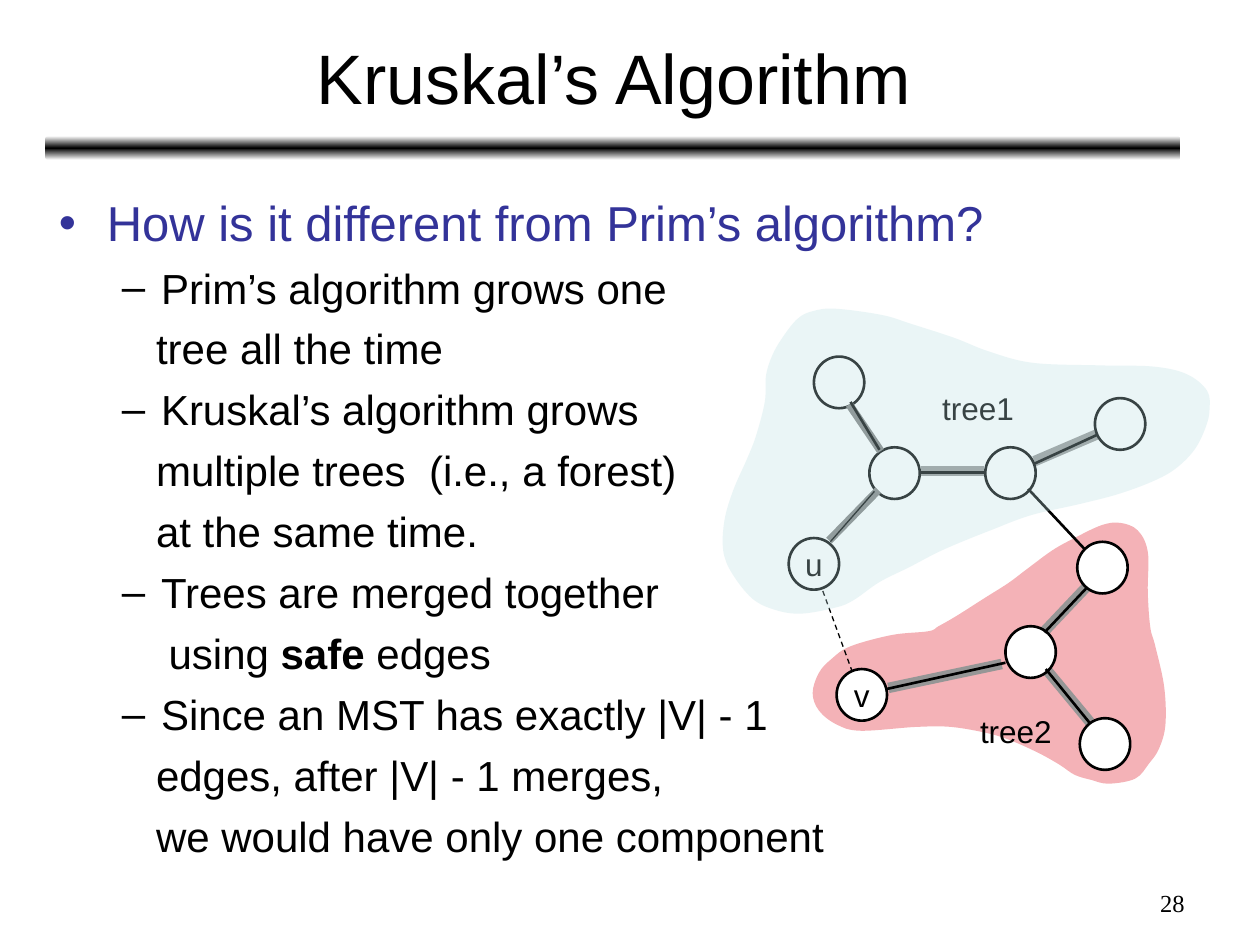
"""Build the slide comparing Kruskal's algorithm with Prim's."""
import copy
from dataclasses import dataclass

import pptx
import pptx.dml.color
import pptx.enum.dml
import pptx.enum.shapes
import pptx.enum.text
import pptx.oxml.ns
import pptx.util
from lxml import etree

Inches = pptx.util.Inches
Pt = pptx.util.Pt
qn = pptx.oxml.ns.qn
Shape = pptx.enum.shapes.MSO_SHAPE
Align = pptx.enum.text.PP_ALIGN
Anchor = pptx.enum.text.MSO_ANCHOR
NODE_W, NODE_H = 0.4, 0.41
BLACK, WHITE, BLUE = "000000", "FFFFFF", "333399"


@dataclass
class Edge:
    x1: float
    y1: float
    x2: float
    y2: float
    width: float = 1.5
    color: str = BLACK
    dashed: bool = False


@dataclass
class Node:
    x: float
    y: float
    name: str = ""


@dataclass
class Line:
    text: str
    left: float = 0.77
    bullet: str = ""
    hang: float = 0
    size: float = 24
    color: str = BLACK
    before: float = 6


@dataclass
class Region:
    color: str
    outline: list[tuple[float, float]]


def item(text: str) -> Line:
    return Line(text, left=0.81, bullet="–", hang=0.31)


BODY = [
    Line("How is it different from Prim’s algorithm?", 0.38, "•", 0.38, 28, BLUE, 7),
    item("Prim’s algorithm grows one"),
    Line("tree all the time"),
    item("Kruskal’s algorithm grows"),
    Line("multiple trees  (i.e., a forest)"),
    Line("at the same time."),
    item("Trees are merged together"),
    Line("using *safe* edges", left=0.87),
    item("Since an MST has exactly |V| - 1"),
    Line("edges, after |V| - 1 merges,"),
    Line("we would have only one component"),
]
TREE1 = Region("BBE0E3", [
    (6.33, 2.53), (6.21, 2.68), (6.13, 2.82), (6.08, 2.98), (6.07, 3.19), (6, 3.46),
    (5.93, 3.64), (5.82, 3.89), (5.75, 4.13), (5.74, 4.37), (5.81, 4.55), (5.97, 4.75),
    (6.15, 4.84), (6.36, 4.87), (6.64, 4.82), (6.78, 4.76), (6.98, 4.62), (7.22, 4.5),
    (7.43, 4.39), (7.61, 4.31), (7.86, 4.21), (8.18, 4.09), (8.57, 4), (8.88, 3.92),
    (9.15, 3.82), (9.33, 3.72), (9.48, 3.57), (9.57, 3.39), (9.6, 3.25), (9.58, 3.1),
    (9.42, 2.97), (9.16, 2.91), (8.74, 2.9), (8.2, 2.88), (7.85, 2.79), (7.57, 2.68),
    (7.23, 2.57), (7, 2.5), (6.63, 2.45), (6.45, 2.47)])
TREE2 = Region("DD0111", [
    (7.37, 5.01), (7.08, 5.04), (6.75, 5.13), (6.6, 5.23), (6.5, 5.34), (6.45, 5.5),
    (6.5, 5.64), (6.64, 5.75), (6.83, 5.8), (7.27, 5.77), (7.55, 5.77), (7.84, 5.82),
    (8.03, 5.88), (8.25, 5.98), (8.41, 6.07), (8.53, 6.15), (8.66, 6.19), (8.8, 6.22),
    (9.01, 6.18), (9.12, 6.06), (9.2, 5.94), (9.25, 5.75), (9.24, 5.45), (9.17, 5.13),
    (9.13, 4.98), (9.11, 4.7), (9.11, 4.38), (9.03, 4.21), (8.89, 4.15), (8.74, 4.17),
    (8.51, 4.28), (8.35, 4.37), (8.16, 4.51), (8, 4.63), (7.81, 4.75), (7.59, 4.89),
    (7.45, 4.97)])
HIGHLIGHTS = [Edge(*ends, 6, "969696") for ends in [
    (7.31, 3.74, 7.81, 3.74), (8.21, 3.66, 8.7, 3.45), (7.05, 5.46, 7.95, 5.27),
    (8.29, 5.01, 8.64, 4.64), (8.31, 5.32, 8.65, 5.73)]]
NODES = [
    Node(6.26, 4.27, "u"), Node(6.9, 3.55), Node(7.82, 3.55), Node(8.69, 3.16),
    Node(8.55, 4.3), Node(6.46, 2.83), Node(7.98, 4.97), Node(8.57, 5.7),
    Node(6.64, 5.31, "v")]
EDGES = [
    Edge(6.58, 4.29, 6.97, 3.89, 4.5, "808080"),
    Edge(6.74, 3.21, 6.99, 3.58, 4.5, "808080"),
    Edge(7.3, 3.75, 7.82, 3.75), Edge(8.21, 3.68, 8.71, 3.45),
    Edge(8.16, 3.88, 8.61, 4.36), Edge(7.03, 5.47, 7.98, 5.26),
    Edge(8.29, 5.02, 8.63, 4.66), Edge(8.3, 5.31, 8.65, 5.74),
    Edge(6.59, 4.3, 6.94, 3.9, 0.75), Edge(6.75, 3.19, 6.98, 3.57),
    Edge(6.53, 4.69, 6.76, 5.32, 0.75, dashed=True)]


def rgb(value: str) -> pptx.dml.color.RGBColor:
    return pptx.dml.color.RGBColor.from_string(value)


def write(p, text: str, *, size: float = 18, font: str = "Arial", color: str = BLACK,
          align=Align.LEFT) -> None:
    p.alignment = align
    for i, part in enumerate(text.split("*")):
        r = p.add_run()
        r.text = part
        r.font.name, r.font.size = font, Pt(size)
        r.font.bold = i % 2 == 1
        r.font.color.rgb = rgb(color)


def add_box(s, x: float, y: float, w: float, h: float, *, wrap: bool = True,
            anchor=Anchor.TOP):
    tf = s.shapes.add_textbox(Inches(x), Inches(y), Inches(w), Inches(h)).text_frame
    tf.word_wrap, tf.vertical_anchor = wrap, anchor
    return tf


def add_rule(s) -> None:
    sp = s.shapes.add_shape(Shape.ROUNDED_RECTANGLE, Inches(0.36), Inches(1.08),
                            Inches(9.01), Inches(0.19))
    sp.shadow.inherit = False
    sp.line.fill.background()
    sp.fill.gradient()
    sp.fill.gradient_angle = 90
    stops = sp._element.spPr.find(".//" + qn("a:gsLst"))
    stops.insert(1, copy.deepcopy(stops[0]))
    for stop, position, color in zip(sp.fill.gradient_stops, (0, 0.5, 1), (WHITE, BLACK, WHITE)):
        stop.position, stop.color.rgb = position, rgb(color)


def add_body(s) -> None:
    tf = add_box(s, 0.37, 1.48, 9, 5.55)
    for i, line in enumerate(BODY):
        p = tf.add_paragraph() if i else tf.paragraphs[0]
        p.space_before = Pt(line.before)
        write(p, line.text, size=line.size, color=line.color)
        pPr = p._p.get_or_add_pPr()
        pPr.set("marL", str(Inches(line.left)))
        pPr.set("indent", str(-Inches(line.hang)))
        if line.bullet:
            etree.SubElement(pPr, qn("a:buFont")).set("typeface", "Arial")
            etree.SubElement(pPr, qn("a:buChar")).set("char", line.bullet)


def add_edge(s, edge: Edge) -> None:
    sp = s.shapes.add_connector(pptx.enum.shapes.MSO_CONNECTOR.STRAIGHT, Inches(edge.x1),
                                Inches(edge.y1), Inches(edge.x2), Inches(edge.y2))
    sp.line.color.rgb, sp.line.width = rgb(edge.color), Pt(edge.width)
    if edge.dashed:
        sp.line.dash_style = pptx.enum.dml.MSO_LINE.DASH
    etree.SubElement(sp._element.spPr, qn("a:effectLst"))


def add_node(s, node: Node) -> None:
    sp = s.shapes.add_shape(Shape.OVAL, Inches(node.x), Inches(node.y),
                            Inches(NODE_W), Inches(NODE_H))
    sp.shadow.inherit = False
    sp.fill.solid()
    sp.fill.fore_color.rgb = rgb(WHITE)
    sp.line.color.rgb, sp.line.width = rgb(BLACK), Pt(1.5)
    if node.name:
        tf = sp.text_frame
        tf.word_wrap, tf.vertical_anchor = False, Anchor.MIDDLE
        write(tf.paragraphs[0], node.name, align=Align.CENTER)


def round_corners(sp) -> None:
    sides = list(sp._element.spPr.iter(qn("a:lnTo")))
    points = [(int(side[0].get("x")), int(side[0].get("y"))) for side in sides]
    n = len(points)
    for i, side in enumerate(sides):
        before, start, end, after = (points[(i + k) % n] for k in (-2, -1, 0, 1))
        leave = [b + (c - a) // 6 for a, b, c in zip(before, start, end)]
        arrive = [c - (d - b) // 6 for b, c, d in zip(start, end, after)]
        curve = etree.Element(qn("a:cubicBezTo"))
        for x, y in (leave, arrive, end):
            etree.SubElement(curve, qn("a:pt"), x=str(x), y=str(y))
        side.getparent().replace(side, curve)


def add_region(s, region: Region) -> None:
    points = [(Inches(x), Inches(y)) for x, y in region.outline]
    fb = s.shapes.build_freeform(*points[0])
    fb.add_line_segments(points[1:] + points[:1], close=True)
    sp = fb.convert_to_shape()
    round_corners(sp)
    sp.shadow.inherit = False
    sp.line.fill.background()
    sp.fill.solid()
    sp.fill.fore_color.rgb = rgb(region.color)
    color = sp._element.spPr.find(".//" + qn("a:srgbClr"))
    etree.SubElement(color, qn("a:alpha")).set("val", "30000")


def main() -> None:
    prs = pptx.Presentation()
    prs.slide_width, prs.slide_height = Inches(10), Inches(7.5)
    s = prs.slides.add_slide(prs.slide_layouts[6])
    add_rule(s)
    tf = add_box(s, 0.37, 0.11, 9, 0.99, anchor=Anchor.MIDDLE)
    write(tf.paragraphs[0], "Kruskal’s Algorithm", size=40, align=Align.CENTER)
    add_body(s)
    add_region(s, TREE2)
    for edge in HIGHLIGHTS:
        add_edge(s, edge)
    for node in NODES:
        add_node(s, node)
    for edge in EDGES:
        add_edge(s, edge)
    for x, y, name in ((7.38, 3.04, "tree1"), (7.68, 5.6, "tree2")):
        write(add_box(s, x, y, 0.77, 0.4, wrap=False).paragraphs[0], name)
    add_region(s, TREE1)
    tf = add_box(s, 7.17, 7, 2.33, 0.35)
    write(tf.paragraphs[0], "28", size=14, font="Times New Roman", align=Align.RIGHT)
    prs.save("out.pptx")


if __name__ == "__main__":
    main()
